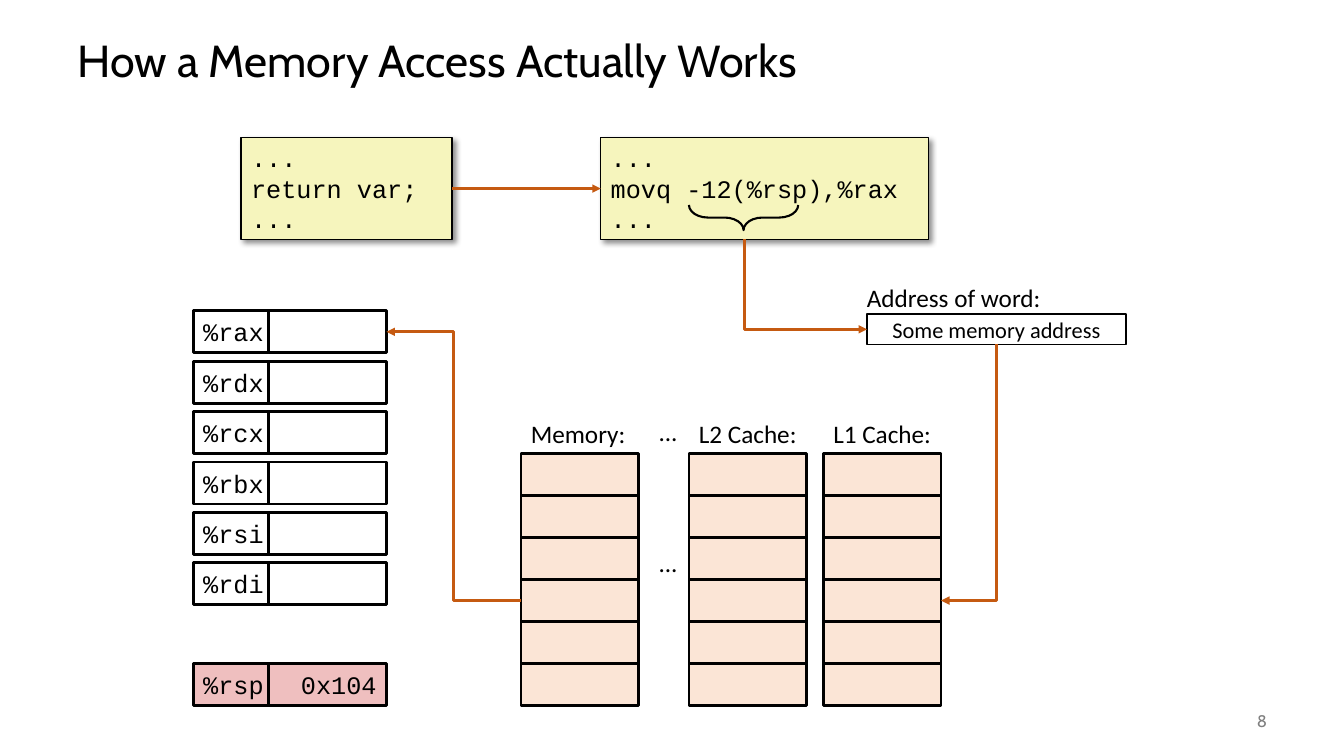
from lxml.etree import SubElement
from pptx import Presentation
from pptx.dml.color import RGBColor
from pptx.enum.shapes import MSO_CONNECTOR as CONN, MSO_SHAPE as SHAPE
from pptx.enum.text import MSO_ANCHOR as ANCHOR, PP_ALIGN as ALIGN
from pptx.oxml.ns import qn
from pptx.util import Inches, Pt

BLACK = RGBColor(0, 0, 0)
WHITE = RGBColor(255, 255, 255)
GREY = RGBColor(0x80, 0x80, 0x80)
YELLOW = RGBColor(0xF6, 0xF5, 0xBD)
PEACH = RGBColor(0xFB, 0xE5, 0xD6)
PINK = RGBColor(0xEF, 0xBF, 0xBF)
ORANGE = RGBColor(0xC5, 0x5A, 0x11)

HEAD, BODY, MONO = "Cabin", "Calibri", "Courier New"
ROWS = 90  # square grid cells of 1/12 inch
CELL_H, CELL_W = 5, 14


class Board:
    """One slide, measured in grid columns and rows."""

    def __init__(self, prs):
        self.unit = prs.slide_height / ROWS
        self.slide = prs.slides.add_slide(prs.slide_layouts[5])
        self.shapes = self.slide.shapes

    def grid(self, *lengths):
        return [round(v * self.unit) for v in lengths]

    def set_text(self, sp, text, font=BODY, size=18, color=BLACK,
                 align=ALIGN.LEFT, anchor=ANCHOR.TOP, wrap=False):
        tf = sp.text_frame
        tf.word_wrap = wrap
        tf.vertical_anchor = anchor
        tf.text = text
        for p in tf.paragraphs:
            p.alignment = align
            p.font.name, p.font.size = font, Pt(size)
            p.font.color.rgb = color

    def title(self, text, *box):
        sp = self.shapes.title
        sp.left, sp.top, sp.width, sp.height = self.grid(*box)
        self.set_text(sp, text, HEAD, 32, anchor=ANCHOR.MIDDLE, wrap=True)
        sp.text_frame.paragraphs[0].line_spacing = 0.9

    def label(self, text, *box, **style):
        self.set_text(self.shapes.add_textbox(*self.grid(*box)), text, **style)

    def box(self, *box, fill=WHITE, weight=2, text="", **style):
        sp = self.shapes.add_shape(SHAPE.RECTANGLE, *self.grid(*box))
        sp.shadow.inherit = False
        sp.fill.solid()
        sp.fill.fore_color.rgb = fill
        sp.line.color.rgb, sp.line.width = BLACK, Pt(weight)
        if text:
            self.set_text(sp, text, **style)
        return sp

    def code(self, text, *box):
        sp = self.box(*box, fill=YELLOW, weight=1, text=text, font=MONO, wrap=True)
        effects = sp._element.spPr.find(qn("a:effectLst"))
        shadow = SubElement(effects, qn("a:outerShdw"), blurRad=str(Pt(4)),
                            dist=str(Pt(3)), dir="2700000", algn="tl", rotWithShape="0")
        color = SubElement(shadow, qn("a:srgbClr"), val=str(BLACK))
        SubElement(color, qn("a:alpha"), val="43000")

    def brace(self, *box):
        sp = self.shapes.add_shape(SHAPE.LEFT_BRACE, *self.grid(*box))
        sp.shadow.inherit = False
        sp.adjustments[0] = 0.75
        sp.fill.background()
        sp.line.color.rgb, sp.line.width = BLACK, Pt(1.5)
        sp.rotation = 270
        sp._element.spPr.find(qn("a:xfrm")).set("flipV", "1")

    def arrow(self, *ends, kind=CONN.STRAIGHT):
        cxn = self.shapes.add_connector(kind, *self.grid(*ends))
        cxn.line.color.rgb, cxn.line.width = ORANGE, Pt(2)
        ln = cxn._element.spPr.find(qn("a:ln"))
        SubElement(ln, qn("a:tailEnd"), type="triangle")
        SubElement(cxn._element.spPr, qn("a:effectLst"))
        return cxn

    def corner_arrow(self, x1, y1, x2, y2):
        """Go down from the start, then sideways to the end."""
        side = 1 if x2 > x1 else -1
        cx, cy = (x1 + x2) / 2, (y1 + y2) / 2
        dx, dy = abs(x2 - x1) / 2, side * (y2 - y1) / 2
        cxn = self.arrow(cx + dy, cy - dx, cx - dy, cy + dx, kind=CONN.ELBOW)
        spPr = cxn._element.spPr
        spPr.find(qn("a:prstGeom")).set("prst", "bentConnector2")
        spPr.find(qn("a:xfrm")).set("rot", "16200000" if side > 0 else "5400000")


def main():
    prs = Presentation()
    prs.slide_width, prs.slide_height = Inches(13.33), Inches(7.5)
    b = Board(prs)
    b.title("How a Memory Access Actually Works", 8, 3, 144, 9)

    # Address of the word
    b.box(103.2, 37.4, 30.8, 3.6, weight=1, text="Some memory address",
          size=16, align=ALIGN.CENTER, anchor=ANCHOR.MIDDLE, wrap=True)
    b.label("Address of word:", 102, 33, 23.8, 4.8)

    # Registers, with a gap before the stack pointer
    names = ["%rax", "%rdx", "%rcx", "%rbx", "%rsi", "%rdi", "", "%rsp"]
    for i, name in enumerate(names):
        if name:
            top = 37 + 6 * i
            fill, value = (PINK, "0x104") if name == "%rsp" else (WHITE, "")
            style = dict(fill=fill, font=MONO, anchor=ANCHOR.MIDDLE)
            b.box(23, top, 9, CELL_H, text=name, **style)
            b.box(32, top, CELL_W, CELL_H, text=value, align=ALIGN.RIGHT, **style)

    # Memory and caches
    for left, name in [(62, "Memory:"), (82, "L2 Cache:"), (98, "L1 Cache:")]:
        b.label(name, left, 49.2, 14.2, 4.8)
        for i in range(6):
            b.box(left, 54 + CELL_H * i, CELL_W, CELL_H, fill=PEACH)
    for top in (49, 64.6):
        b.label("...", 77.2, top, 4.8, 4.8)

    # Source line and its machine code
    b.code("...\nreturn var;\n...", 28.7, 16.4, 25.1, 12.1)
    b.code("...\nmovq -12(%rsp),%rax\n...", 71.5, 16.4, 39, 12.1)
    b.brace(87, 19.4, 3, 13)

    # Flow of the access
    b.arrow(53.8, 22.45, 71.5, 22.45)
    b.corner_arrow(88.6, 28.5, 103.2, 39.2)
    b.corner_arrow(118.6, 41, 112, 71.5)
    b.arrow(62, 71.5, 46, 39.5, kind=CONN.ELBOW)

    # Slide number
    b.label("8", 140, 83.4, 12, 4.8, font=HEAD, size=12, color=GREY,
            align=ALIGN.RIGHT, anchor=ANCHOR.MIDDLE, wrap=True)
    prs.save("out.pptx")


if __name__ == "__main__":
    main()
